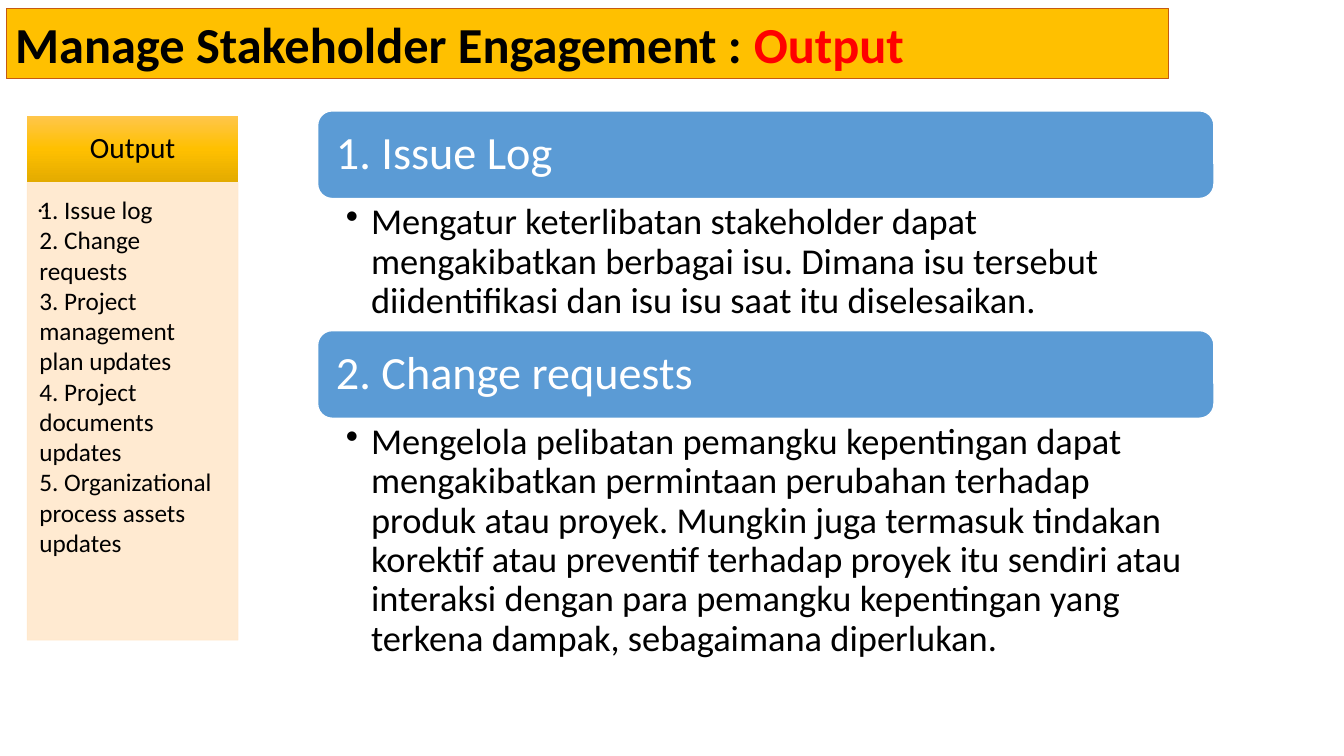
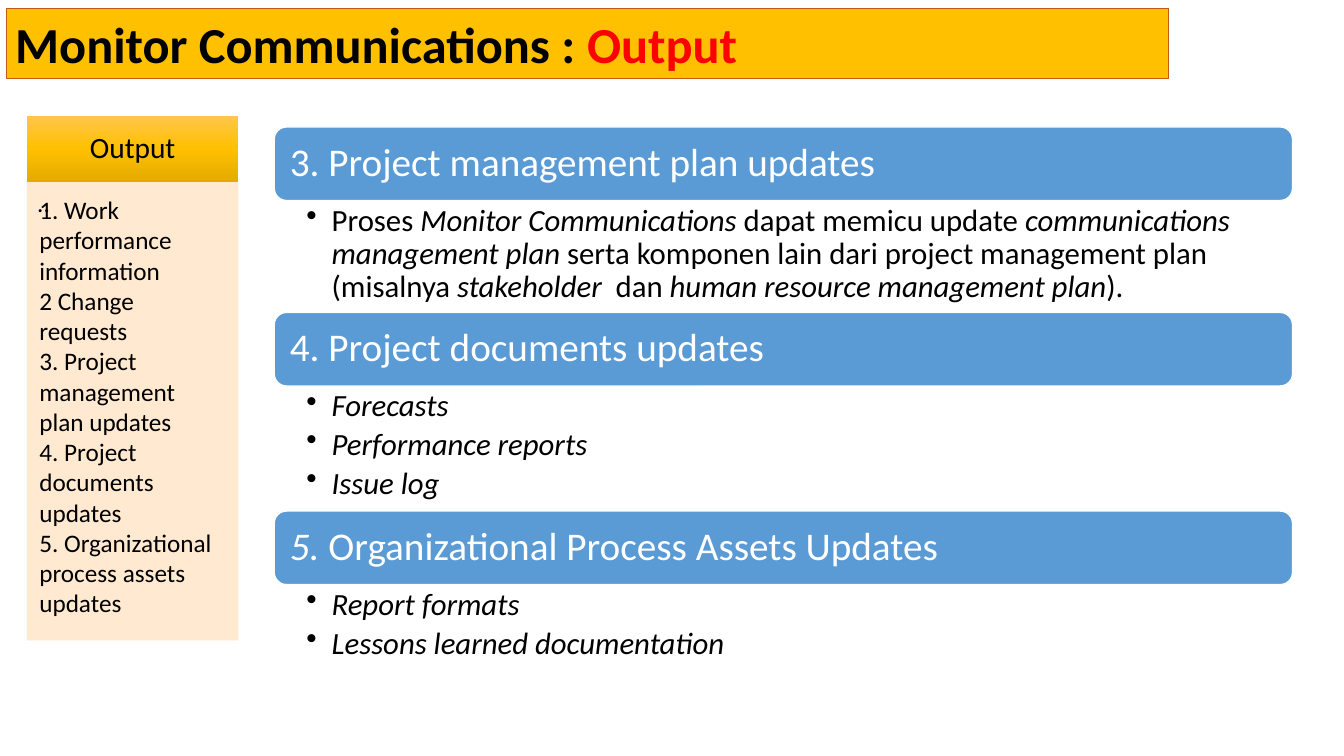
"""Build two slides on process outputs."""
from copy import deepcopy
from dataclasses import dataclass
from typing import Any

from lxml.etree import SubElement
from pptx import Presentation
from pptx.dml.color import RGBColor
from pptx.enum.shapes import MSO_SHAPE
from pptx.enum.text import MSO_ANCHOR, MSO_AUTO_SIZE, PP_ALIGN
from pptx.oxml.ns import qn
from pptx.util import Inches, Pt


@dataclass(frozen=True)
class Theme:
    """Hold the shared colours, font and type sizes."""
    face: str = "Calibri"
    black: str = "000000"
    white: str = "FFFFFF"
    red: str = "FF0000"
    gold: str = "FFC000"
    rust: str = "C55A11"
    blue: str = "5B9BD5"
    cream: str = "FFE8CC"
    fade: tuple[str, ...] = ("FFC64B", "FFC000", "E3AB00")
    title: int = 36
    label: int = 21
    panel: int = 18


@dataclass(frozen=True)
class Box:
    """Place a rectangle in inches."""
    left: float
    top: float
    width: float
    height: float


@dataclass(frozen=True)
class Style:
    """Describe how a block of text is set."""
    size: int
    pads: tuple[float, float, float, float]
    color: str = "000000"
    anchor: Any = MSO_ANCHOR.TOP
    align: Any = PP_ALIGN.LEFT
    space: float = 1.0
    after: float = 0
    bullet: bool = False


@dataclass(frozen=True)
class Topic:
    """Pair a blue heading with its points; asterisks mark italics."""
    head: str
    points: tuple[str, ...]
    height: float


@dataclass(frozen=True)
class Stack:
    """Set the frame and type of a column of topics."""
    left: float
    top: float
    width: float
    bar: float
    head: Style
    body: Style


@dataclass(frozen=True)
class Page:
    """Gather what one slide says."""
    title: str
    items: tuple[str, ...]
    stack: Stack
    topics: tuple[Topic, ...]


THEME = Theme()
BAND = Box(0.06, 0.08, 11.53, 0.7)
LABEL = Box(0.27, 1.15, 2.09, 0.66)
PANEL = Box(0.27, 1.81, 2.09, 4.54)


def hue(code: str) -> RGBColor:
    """Turn a hex code into a colour."""
    return RGBColor.from_string(code)


def apply(target: Any, values: dict[str, Any]) -> None:
    """Set each named value on the target."""
    for name, value in values.items():
        setattr(target, name, value)


def frame(box: Box) -> tuple[Any, ...]:
    """Give a box as four lengths."""
    return tuple(Inches(n) for n in (box.left, box.top, box.width, box.height))


def add_run(para: Any, text: str, size: int, color: str, **marks: bool) -> None:
    """Add one run of text with its font."""
    run = para.add_run()
    run.text = text
    apply(run.font, {"name": THEME.face, "size": Pt(size), **marks})
    run.font.color.rgb = hue(color)


def set_frame(shape: Any, style: Style) -> Any:
    """Set wrap, anchor and insets, and return the text frame."""
    text = shape.text_frame
    sides = ("margin_left", "margin_top", "margin_right", "margin_bottom")
    pads = {side: Inches(n) for side, n in zip(sides, style.pads)}
    apply(text, {"word_wrap": True, "auto_size": MSO_AUTO_SIZE.NONE,
                 "vertical_anchor": style.anchor, **pads})
    return text


def write(shape: Any, lines: tuple[str, ...], style: Style) -> None:
    """Write one paragraph for each line."""
    text = set_frame(shape, style)
    for spot, line in enumerate(lines):
        para = text.add_paragraph() if spot else text.paragraphs[0]
        if style.bullet:
            props = para._p.get_or_add_pPr()
            props.set("marL", str(Inches(0.25)))
            props.set("indent", str(Inches(-0.25)))
            SubElement(props, qn("a:buChar")).set("char", "•")
        apply(para, {"alignment": style.align, "line_spacing": style.space,
                     "space_after": Pt(style.after)})
        for turn, part in enumerate(line.split("*")):
            if part:
                add_run(para, part, style.size, style.color, italic=turn % 2 == 1)


def paint(shape: Any, fill: str, edge: str, width: float) -> None:
    """Fill and outline a shape."""
    shape.fill.solid()
    shape.fill.fore_color.rgb = hue(fill)
    shape.line.color.rgb = hue(edge)
    shape.line.width = Pt(width)


def add_box(slide: Any, kind: Any, box: Box) -> Any:
    """Add a preset shape without shadow."""
    shape = slide.shapes.add_shape(kind, *frame(box))
    shape.shadow.inherit = False
    return shape


def add_text(slide: Any, box: Box, lines: tuple[str, ...], style: Style) -> None:
    """Add a plain text box."""
    write(slide.shapes.add_textbox(*frame(box)), lines, style)


def add_title(slide: Any, title: str) -> None:
    """Form the gold title band."""
    shape = slide.shapes.title
    apply(shape, dict(zip(("left", "top", "width", "height"), frame(BAND))))
    paint(shape, THEME.gold, THEME.rust, 0.75)
    text = set_frame(shape, Style(THEME.title, (0.09, 0.05, 0.09, 0.05)))
    para = text.paragraphs[0]
    para.alignment = PP_ALIGN.LEFT
    for part, color in ((f"{title} : ", THEME.black), ("Output", THEME.red)):
        add_run(para, part, THEME.title, color, bold=True)


def add_panel(slide: Any, items: tuple[str, ...]) -> None:
    """Draw the output list at the left."""
    label = add_box(slide, MSO_SHAPE.RECTANGLE, LABEL)
    label.line.fill.background()
    label.fill.gradient()
    label.fill.gradient_angle = 270
    first = label._element.spPr.find(".//" + qn("a:gs"))
    first.addnext(deepcopy(first))
    for spot, (stop, color) in enumerate(zip(label.fill.gradient_stops, THEME.fade)):
        stop.position = spot / 2
        stop.color.rgb = hue(color)
    write(label, ("Output",), Style(
        THEME.label, (0.16, 0.09, 0.16, 0.09), anchor=MSO_ANCHOR.MIDDLE,
        align=PP_ALIGN.CENTER, space=0.9))
    panel = add_box(slide, MSO_SHAPE.RECTANGLE, PANEL)
    paint(panel, THEME.cream, THEME.cream, 0.5)
    for color in panel._element.spPr.iter(qn("a:srgbClr")):
        SubElement(color, qn("a:alpha")).set("val", "90000")
    write(panel, ("..",), Style(THEME.panel, (0.1, 0.05, 0.1, 0.05)))
    add_text(slide, PANEL, items, Style(THEME.panel, (0.12, 0.12, 0.16, 0.18)))


def add_stack(slide: Any, stack: Stack, topics: tuple[Topic, ...]) -> None:
    """Stack the headings and their points."""
    top = stack.top
    for topic in topics:
        bar = add_box(slide, MSO_SHAPE.ROUNDED_RECTANGLE,
                      Box(stack.left, top, stack.width, stack.bar))
        paint(bar, THEME.blue, THEME.white, 1)
        write(bar, (topic.head,), stack.head)
        top += stack.bar
        add_text(slide, Box(stack.left, top, stack.width, topic.height),
                 topic.points, stack.body)
        top += topic.height


def head_style(size: int, pad: float) -> Style:
    """Give the style of a blue heading."""
    return Style(size, (pad,) * 4, THEME.white, MSO_ANCHOR.MIDDLE, space=0.9)


def body_style(size: int, left: float, right: float, edge: float) -> Style:
    """Give the style of the bullet points."""
    return Style(size, (left, edge, right, edge), space=0.9, after=4, bullet=True)


LARGE = Stack(3.15, 1.1, 8.89, 0.87, head_style(33, 0.14),
              body_style(26, 0.28, 0.26, 0.05))
SMALL = Stack(2.72, 1.26, 10.1, 0.73, head_style(28, 0.12),
              body_style(22, 0.32, 0.22, 0.04))
SHARED = ("3. Project management plan updates", "4. Project documents updates",
          "5. Organizational process assets updates")
PAGES = (
    Page("Manage Stakeholder Engagement",
         ("1. Issue log", "2. Change requests", *SHARED), LARGE, (
             Topic("1. Issue Log", (
                 "Mengatur keterlibatan stakeholder dapat mengakibatkan berbagai isu. "
                 "Dimana isu tersebut diidentifikasi dan isu isu saat itu "
                 "diselesaikan.",), 1.31),
             Topic("2. Change requests", (
                 "Mengelola pelibatan pemangku kepentingan dapat mengakibatkan "
                 "permintaan perubahan terhadap produk atau proyek. Mungkin juga "
                 "termasuk tindakan korektif atau preventif terhadap proyek itu "
                 "sendiri atau interaksi dengan para pemangku kepentingan yang "
                 "terkena dampak, sebagaimana diperlukan.",), 2.54))),
    Page("Monitor Communications",
         ("1. Work performance information", "2 Change requests", *SHARED), SMALL, (
             Topic(SHARED[0], (
                 "Proses *Monitor Communications *dapat memicu update "
                 "*communications management plan *serta komponen lain dari project "
                 "management plan (misalnya *stakeholder  *dan "
                 "*human resource management plan*).",), 1.11),
             Topic(SHARED[1], ("*Forecasts*", "*Performance reports*",
                               "*Issue log*"), 1.24),
             Topic("*5. *Organizational Process Assets Updates",
                   ("*Report formats*", "*Lessons learned documentation*"), 0.82))),
)


def main() -> None:
    """Build and save the deck."""
    deck = Presentation()
    apply(deck, {"slide_width": Inches(13.33), "slide_height": Inches(7.5)})
    for page in PAGES:
        slide = deck.slides.add_slide(deck.slide_layouts[5])
        add_title(slide, page.title)
        add_panel(slide, page.items)
        add_stack(slide, page.stack, page.topics)
    deck.save("out.pptx")


if __name__ == "__main__":
    main()
